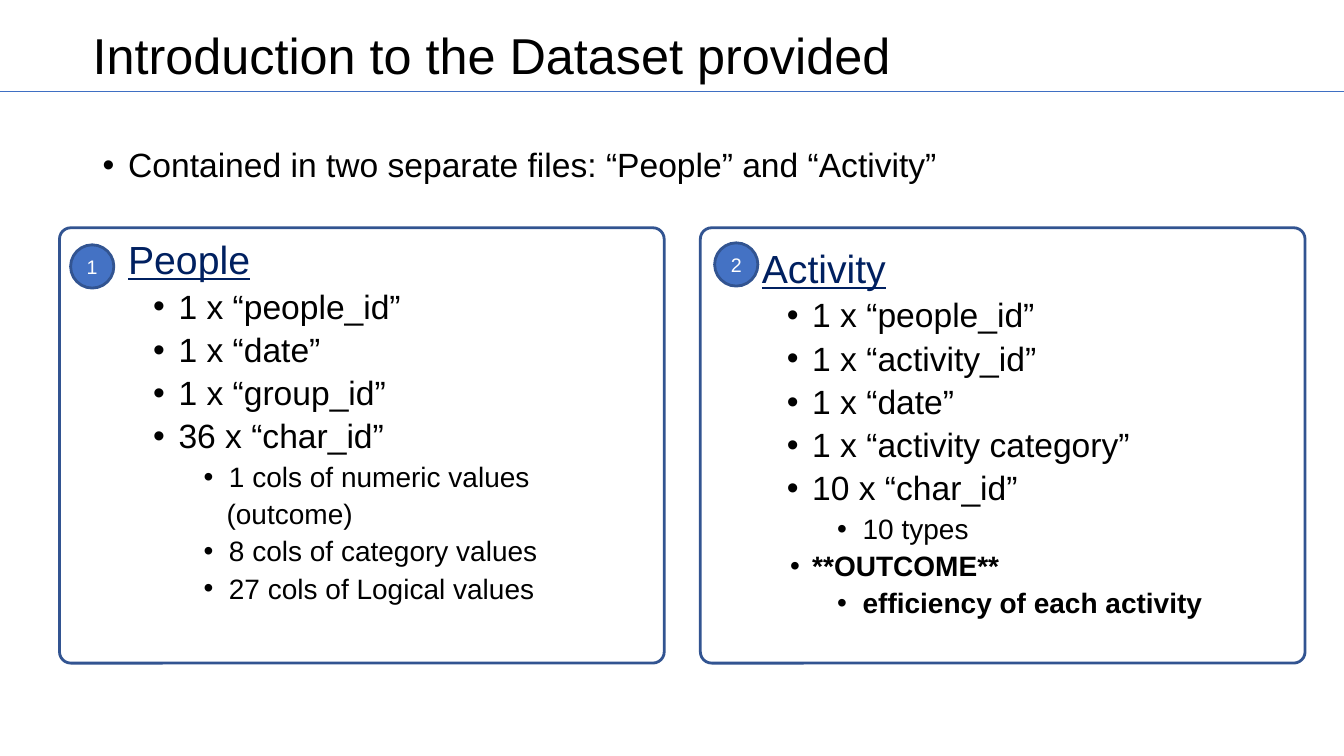
from lxml.etree import SubElement
from pptx import Presentation
from pptx.dml.color import RGBColor
from pptx.enum.shapes import MSO_CONNECTOR, MSO_SHAPE
from pptx.enum.text import MSO_ANCHOR, PP_ALIGN
from pptx.oxml.ns import qn
from pptx.util import Cm, Pt

BLACK = RGBColor(0x00, 0x00, 0x00)
WHITE = RGBColor(0xFF, 0xFF, 0xFF)
NAVY = RGBColor(0x00, 0x20, 0x60)
BLUE = RGBColor(0x44, 0x72, 0xC4)
OUTLINE = RGBColor(0x32, 0x54, 0x91)
RULE = RGBColor(0x3F, 0x6F, 0xC3)

SLIDE_WIDTH, SLIDE_HEIGHT = 33.87, 19.05
PANEL_WIDTH, PANEL_HEIGHT, PANEL_TOP = 15.24, 10.97, 5.74
BADGE_SIZE = 1.09
HANGING = 0.64

STYLES = {
    "intro": dict(size=24, indent=0.64, bullet=True),
    "heading": dict(size=28, indent=0.64, color=NAVY, underline=True),
    "field": dict(size=24, level=1, indent=1.91, bullet=True, before=5),
    "detail": dict(size=20, level=2, indent=3.18, bullet=True, before=5),
    "continued": dict(size=20, level=2, indent=3.12, before=5),
    "outcome": dict(size=20, level=1, indent=1.91, bullet=True, before=5,
                    hanging=0.56, bold=True),
    "measure": dict(size=20, level=2, indent=3.18, bullet=True, before=5,
                    bold=True),
}

PEOPLE = [
    ("heading", "People"),
    ("field", "1 x “people_id”"),
    ("field", "1 x “date”"),
    ("field", "1 x “group_id”"),
    ("field", "36 x “char_id”"),
    ("detail", "1 cols of numeric values"),
    ("continued", "(outcome)"),
    ("detail", "8 cols of category values"),
    ("detail", "27 cols of Logical values"),
]
ACTIVITY = [
    ("heading", "Activity"),
    ("field", "1 x “people_id”"),
    ("field", "1 x “activity_id”"),
    ("field", "1 x “date”"),
    ("field", "1 x “activity category”"),
    ("field", "10 x “char_id”"),
    ("detail", "10 types"),
    ("outcome", "**OUTCOME**"),
    ("measure", "efficiency of each activity"),
]


def apply(target, formats):
    for attribute, value in formats.items():
        setattr(target, attribute, value)


def format_font(font, size, color=BLACK, **formats):
    apply(font, {"name": "Arial", "size": Pt(size), **formats})
    font.color.rgb = color


def write_entry(paragraph, text, size, indent, level=0, bullet=False,
                before=0, hanging=HANGING, **formats):
    apply(paragraph, {"level": level, "line_spacing": 0.9,
                      "space_before": Pt(before)})
    properties = paragraph._p.get_or_add_pPr()
    properties.set("marL", str(Cm(indent)))
    properties.set("indent", str(-Cm(hanging) if bullet else 0))
    if bullet:
        SubElement(properties, qn("a:buFont")).set("typeface", "Arial")
        SubElement(properties, qn("a:buChar")).set("char", "•")
    else:
        SubElement(properties, qn("a:buNone"))
    entry = paragraph.add_run()
    entry.text = text
    format_font(entry.font, size, **formats)


def add_outline(slide, left, top, width, height, entries, inset=0.25):
    frame = slide.shapes.add_textbox(
        Cm(left), Cm(top), Cm(width), Cm(height)).text_frame
    apply(frame, {"word_wrap": True, "margin_top": Cm(inset),
                  "margin_bottom": Cm(inset)})
    for index, (style, text) in enumerate(entries):
        paragraph = frame.add_paragraph() if index else frame.paragraphs[0]
        write_entry(paragraph, text, **STYLES[style])


def add_bordered(slide, kind, left, top, width, height):
    bordered = slide.shapes.add_shape(
        kind, Cm(left), Cm(top), Cm(width), Cm(height))
    bordered.shadow.inherit = False
    bordered.line.color.rgb = OUTLINE
    bordered.line.width = Pt(2)
    return bordered


def add_badge(slide, left, top, number):
    badge = add_bordered(slide, MSO_SHAPE.OVAL, left, top,
                         BADGE_SIZE, BADGE_SIZE)
    badge.fill.solid()
    badge.fill.fore_color.rgb = BLUE
    frame = badge.text_frame
    apply(frame, {"margin_left": 0, "margin_right": 0, "margin_top": 0,
                  "margin_bottom": 0, "vertical_anchor": MSO_ANCHOR.MIDDLE})
    label = frame.paragraphs[0]
    label.text = str(number)
    label.alignment = PP_ALIGN.CENTER
    format_font(label.font, 14, WHITE)


def add_panel(slide, left, top, number, entries, badge_offset, list_offset):
    panel = add_bordered(slide, MSO_SHAPE.ROUNDED_RECTANGLE, left, top,
                         PANEL_WIDTH, PANEL_HEIGHT)
    panel.adjustments[0] = 0.026
    panel.fill.background()
    add_outline(slide, left + list_offset[0], top + list_offset[1],
                13, 9.93, entries)
    add_badge(slide, left + badge_offset[0], top + badge_offset[1], number)


def add_header(slide, left, top, width, height):
    title = slide.shapes.title
    apply(title, {"left": Cm(left), "top": Cm(top),
                  "width": Cm(width), "height": Cm(height)})
    title.text_frame.vertical_anchor = MSO_ANCHOR.MIDDLE
    heading = title.text_frame.paragraphs[0]
    heading.text = "Introduction to the Dataset provided"
    apply(heading, {"alignment": PP_ALIGN.LEFT, "line_spacing": 0.9})
    format_font(heading.runs[0].font, 36)
    rule_top = Cm(top + 2.69)
    rule = slide.shapes.add_connector(
        MSO_CONNECTOR.STRAIGHT, 0, rule_top, Cm(SLIDE_WIDTH), rule_top)
    rule.line.color.rgb = RULE
    rule.line.width = Pt(0.75)
    SubElement(rule._element.spPr, qn("a:effectLst"))


def main():
    deck = Presentation()
    apply(deck, {"slide_width": Cm(SLIDE_WIDTH),
                 "slide_height": Cm(SLIDE_HEIGHT)})
    slide = deck.slides.add_slide(deck.slide_layouts[5])
    add_header(slide, 2.08, -0.38, 29.21, 3.68)
    add_outline(slide, 2.34, 3.61, 29.21, 1.3, [
        ("intro", "Contained in two separate files: “People” and “Activity”"),
    ], inset=0.13)
    add_panel(slide, 1.5, PANEL_TOP, 1, PEOPLE, (0.28, 0.43), (0.84, 0.08))
    add_panel(slide, 17.65, PANEL_TOP, 2, ACTIVITY, (0.36, 0.38), (0.66, 0.3))
    deck.save("out.pptx")


if __name__ == "__main__":
    main()
